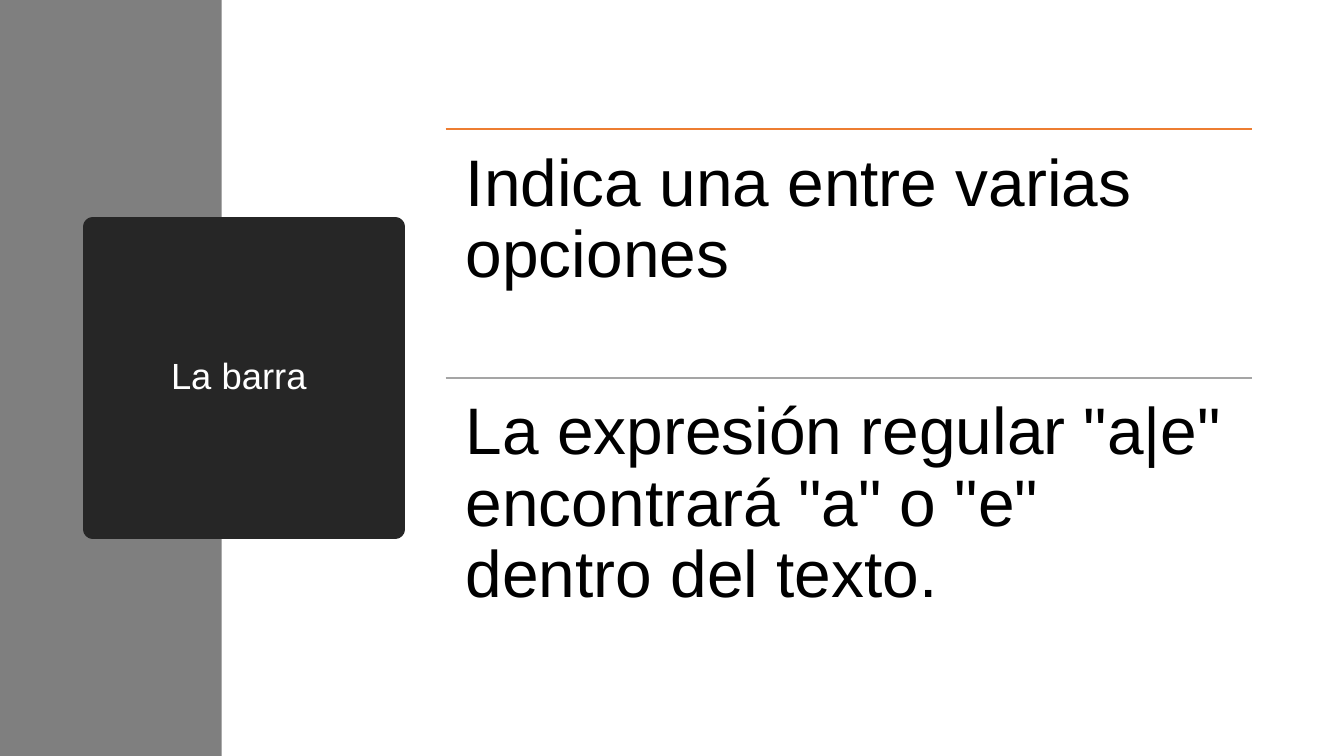
"""Builds a slide with a dark title block over a side band and two ruled statements."""
from lxml.etree import SubElement
from pptx import Presentation
from pptx.dml.color import RGBColor
from pptx.enum.shapes import MSO_CONNECTOR, MSO_SHAPE
from pptx.enum.text import MSO_ANCHOR, MSO_AUTO_SIZE, PP_ALIGN
from pptx.oxml.ns import qn
from pptx.util import Pt

EMU_PER_PX = 9144
FONT = "Arial"
TITLE_ONLY = 5
WHITE = RGBColor(0xFF, 0xFF, 0xFF)
BLACK = RGBColor(0x00, 0x00, 0x00)
GREY = RGBColor(0x7F, 0x7F, 0x7F)
CHARCOAL = RGBColor(0x26, 0x26, 0x26)
ORANGE = RGBColor(0xED, 0x7D, 0x31)
SILVER = RGBColor(0xA5, 0xA5, 0xA5)

STATEMENTS = [
    ("Indica una entre varias opciones", ORANGE),
    ('La expresión regular "a|e" encontrará "a" o "e" dentro del texto.', SILVER),
]


def px(*lengths):
    return [length * EMU_PER_PX for length in lengths]


def write_text(frame, text, size, color, align, insets):
    frame.word_wrap = True
    frame.auto_size = MSO_AUTO_SIZE.NONE
    horizontal, vertical = px(*insets)
    frame.margin_left = frame.margin_right = horizontal
    frame.margin_top = frame.margin_bottom = vertical
    paragraph = frame.paragraphs[0]
    paragraph.alignment = align
    paragraph.line_spacing = 0.9
    run = paragraph.add_run()
    run.text = text
    run.font.name = FONT
    run.font.size = Pt(size)
    run.font.color.rgb = color


def add_side_band(slide, left, top, width, height):
    band = slide.shapes.add_shape(MSO_SHAPE.RECTANGLE, *px(left, top, width, height))
    band.shadow.inherit = False
    band.fill.solid()
    band.fill.fore_color.rgb = GREY
    band.line.fill.background()
    slide.shapes.title.element.addprevious(band.element)


def format_title(slide, left, top, width, height):
    title = slide.shapes.title
    title.left, title.top, title.width, title.height = px(left, top, width, height)
    title.fill.solid()
    title.fill.fore_color.rgb = CHARCOAL
    title.line.color.rgb = CHARCOAL
    title.line.width = Pt(13.75)
    title.text_frame.vertical_anchor = MSO_ANCHOR.MIDDLE
    write_text(title.text_frame, "La barra ", 26, WHITE, PP_ALIGN.CENTER, (10, 5))


def add_statements(slide, left, top, width, height):
    row_height = height // len(STATEMENTS)
    for index, (text, color) in enumerate(STATEMENTS):
        row_top = top + index * row_height
        rule = slide.shapes.add_connector(
            MSO_CONNECTOR.STRAIGHT, *px(left, row_top, left + width, row_top))
        rule.line.color.rgb = color
        rule.line.width = Pt(1)
        SubElement(rule.element.spPr, qn("a:effectLst"))
        box = slide.shapes.add_textbox(*px(left, row_top, width, row_height))
        write_text(box.text_frame, text, 47, BLACK, PP_ALIGN.LEFT, (20, 20))


def main():
    presentation = Presentation()
    presentation.slide_width, presentation.slide_height = px(1333, 750)
    slide = presentation.slides.add_slide(presentation.slide_layouts[TITLE_ONLY])
    add_side_band(slide, 0, 0, 220, 750)
    format_title(slide, 92, 225, 300, 300)
    add_statements(slide, 442, 128, 800, 494)
    presentation.save("out.pptx")


if __name__ == "__main__":
    main()
